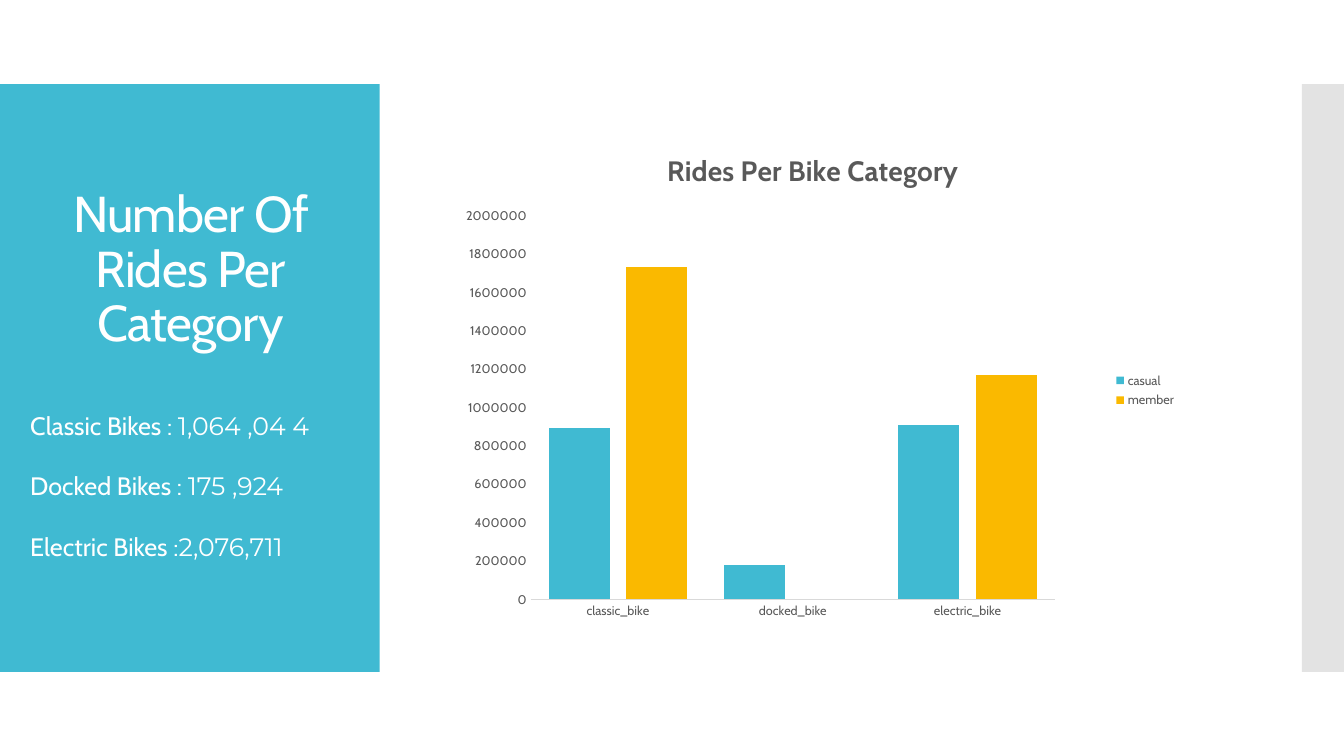
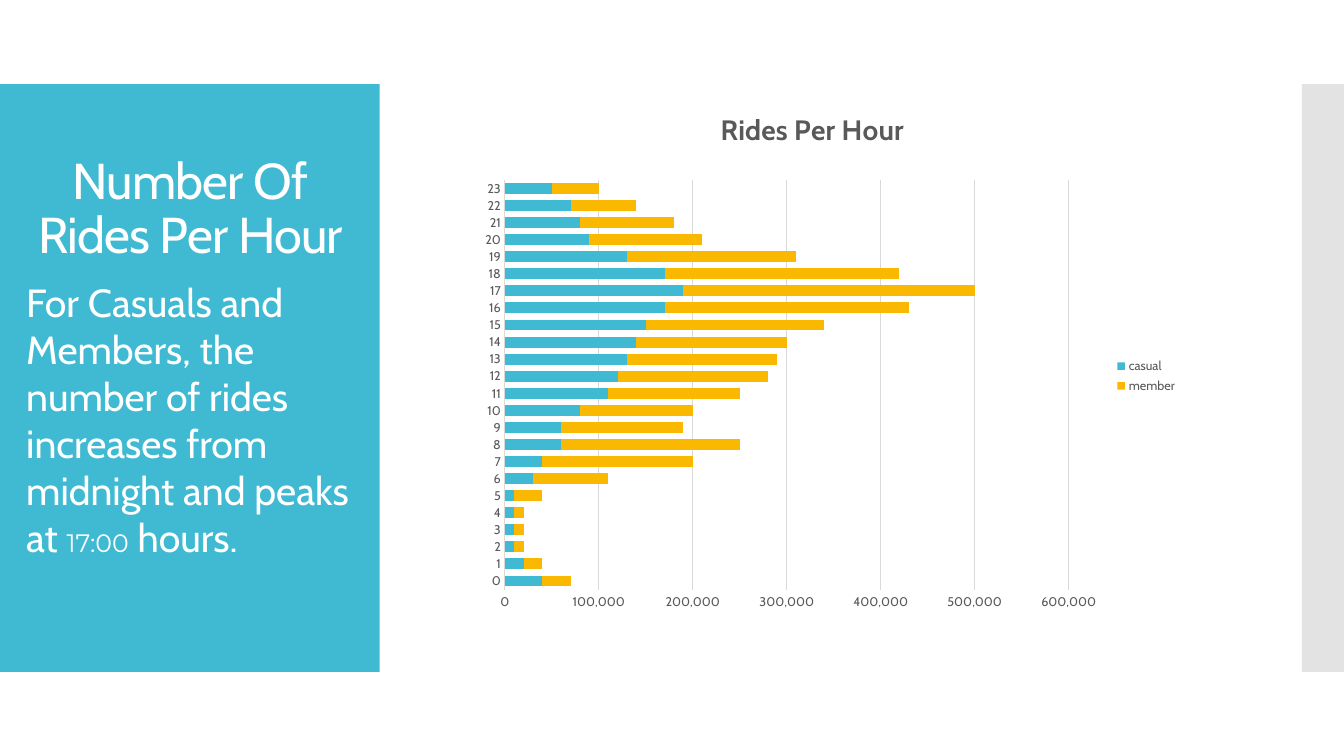
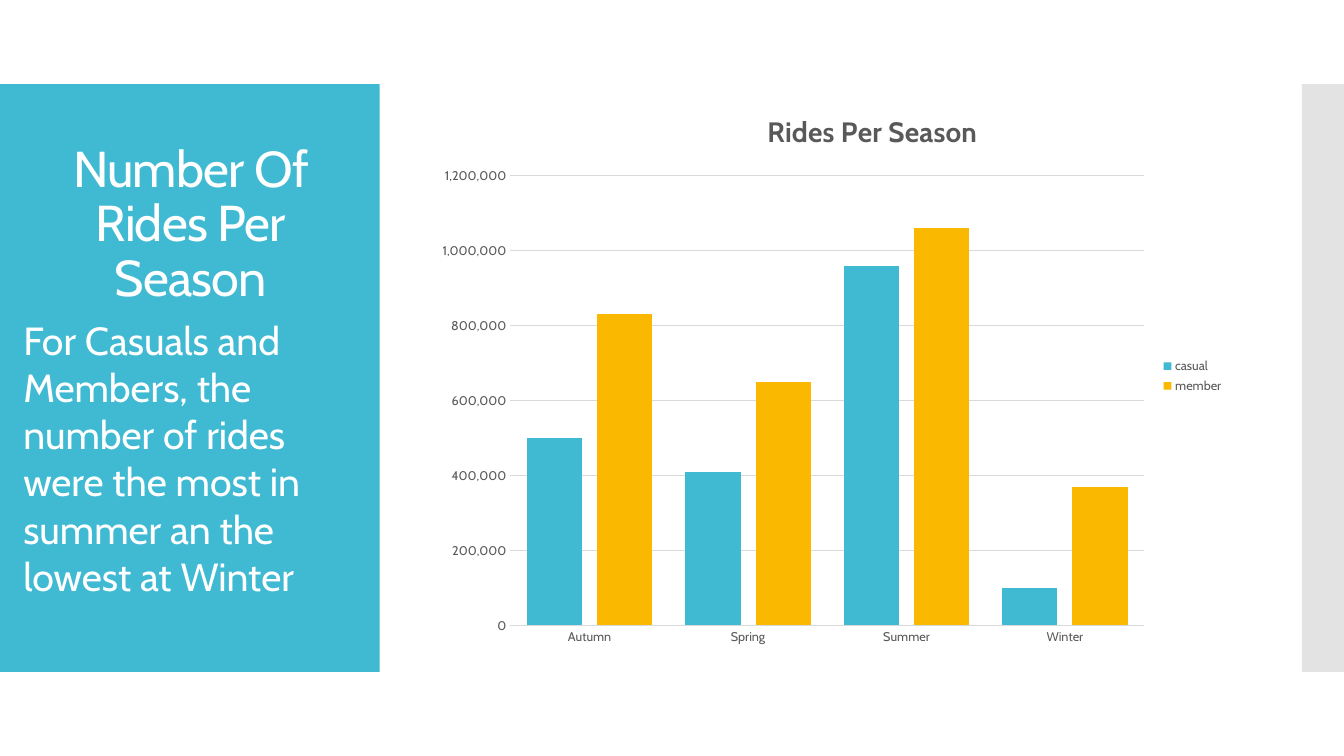
from lxml.etree import SubElement
from pptx import Presentation
from pptx.chart.data import CategoryChartData
from pptx.dml.color import RGBColor
from pptx.enum.chart import XL_CHART_TYPE, XL_LEGEND_POSITION, XL_TICK_MARK
from pptx.enum.shapes import MSO_SHAPE
from pptx.enum.text import MSO_ANCHOR, MSO_AUTO_SIZE, PP_ALIGN
from pptx.oxml.ns import qn
from pptx.util import Pt

TEAL = RGBColor(0x40, 0xBA, 0xD2)
AMBER = RGBColor(0xFA, 0xB9, 0x00)
SILVER = RGBColor(0xC8, 0xC8, 0xC8)
RULE = RGBColor(0xD9, 0xD9, 0xD9)
GREY = RGBColor(0x59, 0x59, 0x59)
WHITE = RGBColor(0xFF, 0xFF, 0xFF)
CABIN, MONTSERRAT = "Cabin", "Montserrat"

SLIDES = [
    dict(
        title="Number Of Rides Per Category", title_height=210,
        note_box=(14.4, 289.4, 237.6, 138.2), note_gap=21.5,
        note=[
            [("Classic Bikes : ", CABIN, 18), ("1,064 ,04 4", MONTSERRAT, 18)],
            [("Docked Bikes : ", CABIN, 18), ("175 ,924", MONTSERRAT, 18)],
            [("Electric Bikes :", CABIN, 18), ("2,076,711", MONTSERRAT, 18)],
        ],
        chart_box=(304.6, 88.6, 542.9, 380.2),
        chart=dict(
            kind=XL_CHART_TYPE.COLUMN_CLUSTERED, title="Rides Per Bike Category",
            title_at=(0.31, 0.04), plot_at=(0.137, 0.172, 0.69, 0.721),
            gap=60, overlap=-27, top=2000000, step=200000, fmt="General", grid=False,
            cats=["classic_bike", "docked_bike", "electric_bike"],
            casual=[890000, 180000, 910000], member=[1730000, None, 1170000],
        ),
    ),
    dict(
        title="Number Of\nRides Per Hour", title_height=123.1,
        note_box=(11.5, 195.1, 247.7, 211), note_gap=0,
        note=[[
            ("For Casuals and Members, the number of rides increases from "
             "midnight and peaks at ", CABIN, 28),
            ("17:00", MONTSERRAT, 18), (" hours.", CABIN, 28),
        ]],
        chart_box=(304.6, 58.3, 543.6, 420.5),
        chart=dict(
            kind=XL_CHART_TYPE.BAR_STACKED, title="Rides Per Hour",
            title_at=(0.38, 0.04), plot_at=(0.103, 0.167, 0.741, 0.696),
            gap=56, overlap=100, top=600000, step=100000, fmt="#,##0", grid=True,
            cats=[str(hour) for hour in range(24)],
            casual=[n * 10000 for n in (4, 2, 1, 1, 1, 1, 3, 4, 6, 6, 8, 11, 12, 13, 14,
                                        15, 17, 19, 17, 13, 9, 8, 7, 5)],
            member=[n * 10000 for n in (3, 2, 1, 1, 1, 3, 8, 16, 19, 13, 12, 14, 16, 16,
                                        16, 19, 26, 31, 25, 18, 12, 10, 7, 5)],
        ),
    ),
    dict(
        title="Number Of Rides Per Season", title_height=144.7,
        note_box=(9.4, 222.5, 242.6, 211), note_gap=0,
        note=[[("For Casuals and Members, the number of rides were the most in "
                "summer an the lowest at Winter", CABIN, 28)]],
        chart_box=(304.6, 68.4, 576.7, 400.3),
        chart=dict(
            kind=XL_CHART_TYPE.COLUMN_CLUSTERED, title="Rides Per Season",
            title_at=(0.416, 0.02), plot_at=(0.104, 0.143, 0.785, 0.802),
            gap=60, overlap=-27, top=1200000, step=200000, fmt="#,##0", grid=True,
            cats=["Autumn", "Spring", "Summer", "Winter"],
            casual=[500000, 410000, 960000, 100000],
            member=[830000, 650000, 1060000, 370000],
        ),
    ),
]


def place(sp, box):
    """Move and size a shape to a box in points."""
    sp.left, sp.top, sp.width, sp.height = (Pt(v) for v in box)


def style(font, size, color, name=CABIN, bold=False):
    """Set the common font properties."""
    font.name, font.size, font.bold = name, Pt(size), bold
    font.color.rgb = color


def add_bands(layout, s):
    """Draw the two side bands and move them to the layout."""
    for i, (box, color, alpha) in enumerate([((0, 60, 271.2, 420), TEAL, 100),
                                             ((930, 60, 30, 420), SILVER, 50)]):
        sp = s.shapes.add_shape(MSO_SHAPE.RECTANGLE, *(Pt(v) for v in box))
        sp.shadow.inherit = False
        sp.fill.solid()
        sp.fill.fore_color.rgb = color
        sp.line.fill.background()
        if alpha < 100:
            clr = sp.element.spPr.find(".//" + qn("a:srgbClr"))
            SubElement(clr, qn("a:alpha")).set("val", str(alpha * 1000))
        layout.shapes.element.insert(2 + i, sp.element)


def fill_title(sp, box, text):
    """Write the white centred heading in the title placeholder."""
    place(sp, box)
    tf = sp.text_frame
    tf.auto_size, tf.word_wrap = MSO_AUTO_SIZE.NONE, True
    tf.vertical_anchor = MSO_ANCHOR.MIDDLE
    tf.margin_left = tf.margin_right = Pt(3.6)
    p = tf.paragraphs[0]
    p.alignment, p.line_spacing = PP_ALIGN.CENTER, 0.9
    for i, line in enumerate(text.split("\n")):
        if i:
            p.add_line_break()
        r = p.add_run()
        r.text = line
        style(r.font, 36, WHITE)
        r.font._element.set("spc", "-60")


def fill_note(sp, box, paragraphs, gap):
    """Write the unbulleted note in the body placeholder."""
    place(sp, box)
    tf = sp.text_frame
    tf.auto_size, tf.word_wrap = MSO_AUTO_SIZE.NONE, True
    tf.vertical_anchor = MSO_ANCHOR.TOP
    for i, runs in enumerate(paragraphs):
        p = tf.add_paragraph() if i else tf.paragraphs[0]
        p.alignment = PP_ALIGN.LEFT
        p.space_before = Pt(gap if i else 0)
        pPr = p._p.get_or_add_pPr()
        pPr.set("marL", "0")
        pPr.set("indent", "0")
        SubElement(pPr, qn("a:buNone"))
        for text, name, size in runs:
            r = p.add_run()
            r.text = text
            style(r.font, size, WHITE, name)


def set_layout(parent, index, values):
    """Give a chart part a manual layout as fractions of the chart."""
    old = parent.find(qn("c:layout"))
    if old is not None:
        parent.remove(old)
    layout = SubElement(parent, qn("c:layout"))
    parent.insert(index, layout)
    manual = SubElement(layout, qn("c:manualLayout"))
    inner = [("layoutTarget", "inner")] if len(values) == 4 else []
    modes = [("xMode", "edge"), ("yMode", "edge")]
    for tag, value in inner + modes + list(zip("xywh", values)):
        SubElement(manual, qn("c:" + tag)).set("val", str(value))


def style_axes(chart, d):
    """Format the category and value axes."""
    cat, val = chart.category_axis, chart.value_axis
    for axis in (cat, val):
        axis.major_tick_mark = axis.minor_tick_mark = XL_TICK_MARK.NONE
        style(axis.tick_labels.font, 9, GREY)
    cat.format.line.color.rgb = RULE
    cat.format.line.width = Pt(0.75)
    val.format.line.fill.background()
    val.minimum_scale, val.maximum_scale, val.major_unit = 0, d["top"], d["step"]
    val.tick_labels.number_format = d["fmt"]
    val.tick_labels.number_format_is_linked = False
    val.has_major_gridlines = d["grid"]
    if d["grid"]:
        val.major_gridlines.format.line.color.rgb = RULE
        val.major_gridlines.format.line.width = Pt(0.75)


def add_rides_chart(s, box, d):
    """Add a bar chart of casual and member rides."""
    data = CategoryChartData()
    data.categories = d["cats"]
    for name in ("casual", "member"):
        data.add_series(name, d[name])
    chart = s.shapes.add_chart(d["kind"], *(Pt(v) for v in box), data).chart
    style(chart.font, 9, GREY)

    chart.has_title = True
    p = chart.chart_title.text_frame.paragraphs[0]
    r = p.add_run()
    r.text = d["title"]
    style(r.font, 20, GREY, bold=True)
    set_layout(chart.element.find(".//" + qn("c:title")), 1, d["title_at"])
    set_layout(chart.element.find(".//" + qn("c:plotArea")), 0, d["plot_at"])

    chart.has_legend = True
    chart.legend.position = XL_LEGEND_POSITION.RIGHT
    chart.legend.include_in_layout = False
    style(chart.legend.font, 9, GREY)

    plot = chart.plots[0]
    plot.gap_width, plot.overlap, plot.vary_by_categories = d["gap"], d["overlap"], False
    for series, color in zip(plot.series, (TEAL, AMBER)):
        series.format.fill.solid()
        series.format.fill.fore_color.rgb = color
        series.invert_if_negative = False
    style_axes(chart, d)


def main():
    """Build the three ride slides."""
    prs = Presentation()
    prs.slide_width, prs.slide_height = Pt(960), Pt(540)
    layout = prs.slide_layouts[1]
    for i, d in enumerate(SLIDES):
        s = prs.slides.add_slide(layout)
        if i == 0:
            add_bands(layout, s)
        fill_title(s.shapes.title, (20.2, 88.6, 231.8, d["title_height"]), d["title"])
        add_rides_chart(s, d["chart_box"], d["chart"])
        fill_note(s.placeholders[1], d["note_box"], d["note"], d["note_gap"])
    prs.save("out.pptx")


if __name__ == "__main__":
    main()
